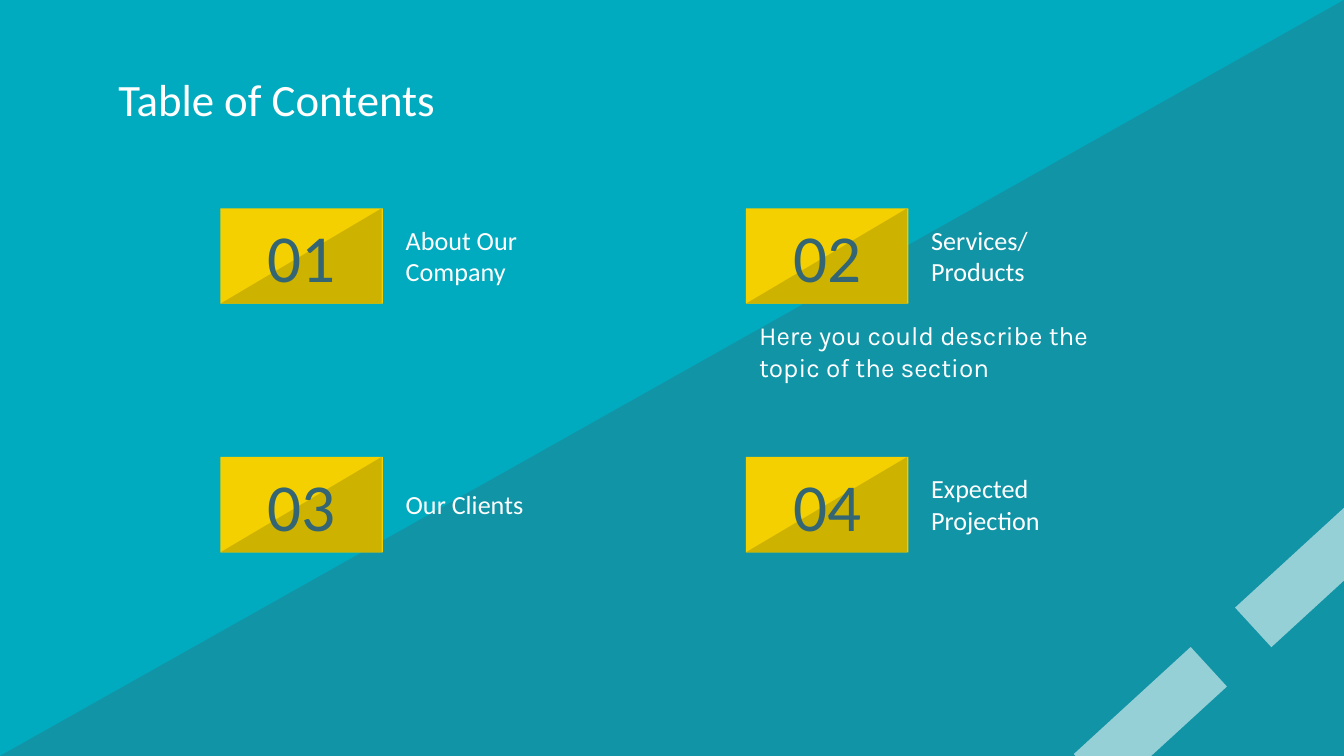
from dataclasses import dataclass

from lxml import etree
from pptx import Presentation
from pptx.dml.color import RGBColor
from pptx.enum import shapes, text
from pptx.oxml.ns import qn
from pptx.util import Inches, Pt


@dataclass(frozen=True)
class Theme:
    back: str = "00ABBF"
    ink: str = "336574"
    gold: str = "F4D000"
    dark: str = "CEB200"
    white: str = "FFFFFF"
    font: str = "Calibri"
    note: str = "Karla"
    title: int = 24
    body: int = 14
    digit: int = 36


THEME = Theme()
WIDE = 10
HIGH = WIDE * 9 / 16
CARDS = [
    ("01", "About Our Company", ""),
    ("02", "Services/Products", "Here you could describe the topic of the section"),
    ("03", "Our Clients", ""),
    ("04", "Expected Projection", ""),
]


def add_fill(slide, kind, box, color, alpha=100, flip=False):
    """Add a borderless shape; alpha is its opacity in percent."""
    shape = slide.shapes.add_shape(kind, *map(Inches, box))
    shape.shadow.inherit = False
    shape.line.fill.background()
    shape.fill.solid()
    shape.fill.fore_color.rgb = RGBColor.from_string(color)
    if alpha < 100:
        tint = shape._element.spPr.find(qn("a:solidFill"))[0]
        etree.SubElement(tint, qn("a:alpha")).set("val", str(alpha * 1000))
    if flip:
        shape._element.spPr.find(qn("a:xfrm")).set("flipH", "1")
    return shape


def set_text(shape, words, size, color=THEME.white, font=THEME.font,
             align=text.PP_ALIGN.LEFT, anchor=text.MSO_ANCHOR.MIDDLE):
    frame = shape.text_frame
    frame.text = words
    frame.word_wrap = True
    frame.auto_size = text.MSO_AUTO_SIZE.NONE
    frame.vertical_anchor = anchor
    frame.margin_left = frame.margin_right = Inches(0.1)
    frame.margin_top = frame.margin_bottom = Inches(0.1)
    line = frame.paragraphs[0]
    line.alignment = align
    line.font.size = Pt(size)
    line.font.name = font
    line.font.color.rgb = RGBColor.from_string(color)


def add_label(slide, box, words, size, **style):
    set_text(slide.shapes.add_textbox(*map(Inches, box)), words, size, **style)


def add_back(slide, box):
    """Paint the background, its darker half and the corner stripes."""
    left, top, wide, high = box
    slide.background.fill.solid()
    slide.background.fill.fore_color.rgb = RGBColor.from_string(THEME.back)
    add_fill(slide, shapes.MSO_SHAPE.RIGHT_TRIANGLE, box, THEME.ink, 32, flip=True)
    for x, y in ((7.97, 5.16), (9.17, 4.07)):
        stripe = (left + x, top + y, 1.18, 0.4)
        add_fill(slide, shapes.MSO_SHAPE.RECTANGLE, stripe,
                 THEME.white, 56).rotation = 317.5


def add_title(slide, box, words):
    title = slide.shapes.title
    title.left, title.top, title.width, title.height = map(Inches, box)
    set_text(title, words, THEME.title)


def add_card(slide, box, digit, name, note):
    """Add a numbered tile with its name beside it and any note below."""
    left, top, wide, high = box
    tile = (left, top, 1.21, high)
    add_fill(slide, shapes.MSO_SHAPE.RECTANGLE, tile, THEME.gold)
    add_fill(slide, shapes.MSO_SHAPE.RIGHT_TRIANGLE, (left, top, 1.2, high),
             THEME.dark, flip=True)
    add_label(slide, tile, digit, THEME.digit, color=THEME.ink,
              align=text.PP_ALIGN.CENTER)
    add_label(slide, (left + 1.28, top, wide - 1.28, 0.7), name, THEME.body)
    if note:
        add_label(slide, (left, top + 0.73, wide, 0.7), note, THEME.body,
                  font=THEME.note, anchor=text.MSO_ANCHOR.TOP)


def add_grid(slide, box, cards):
    """Lay the cards out in two columns and two rows."""
    left, top, wide, high = box
    card_w, card_h = 2.83, 0.71
    for i, card in enumerate(cards):
        row, col = divmod(i, 2)
        place = (left + col * (wide - card_w), top + row * (high - card_h),
                 card_w, card_h)
        add_card(slide, place, *card)


def main():
    deck = Presentation()
    deck.slide_width, deck.slide_height = Inches(WIDE), Inches(HIGH)
    slide = deck.slides.add_slide(deck.slide_layouts.get_by_name("Title Only"))
    add_back(slide, (0, 0, WIDE, HIGH))
    add_title(slide, (0.78, 0.42, 8.44, 0.63), "Table of Contents")
    add_grid(slide, (1.64, 1.55, 6.74, 2.56), CARDS)
    # The title stands in front of the background shapes.
    slide.shapes._spTree.append(slide.shapes.title._element)
    deck.save("out.pptx")


if __name__ == "__main__":
    main()
